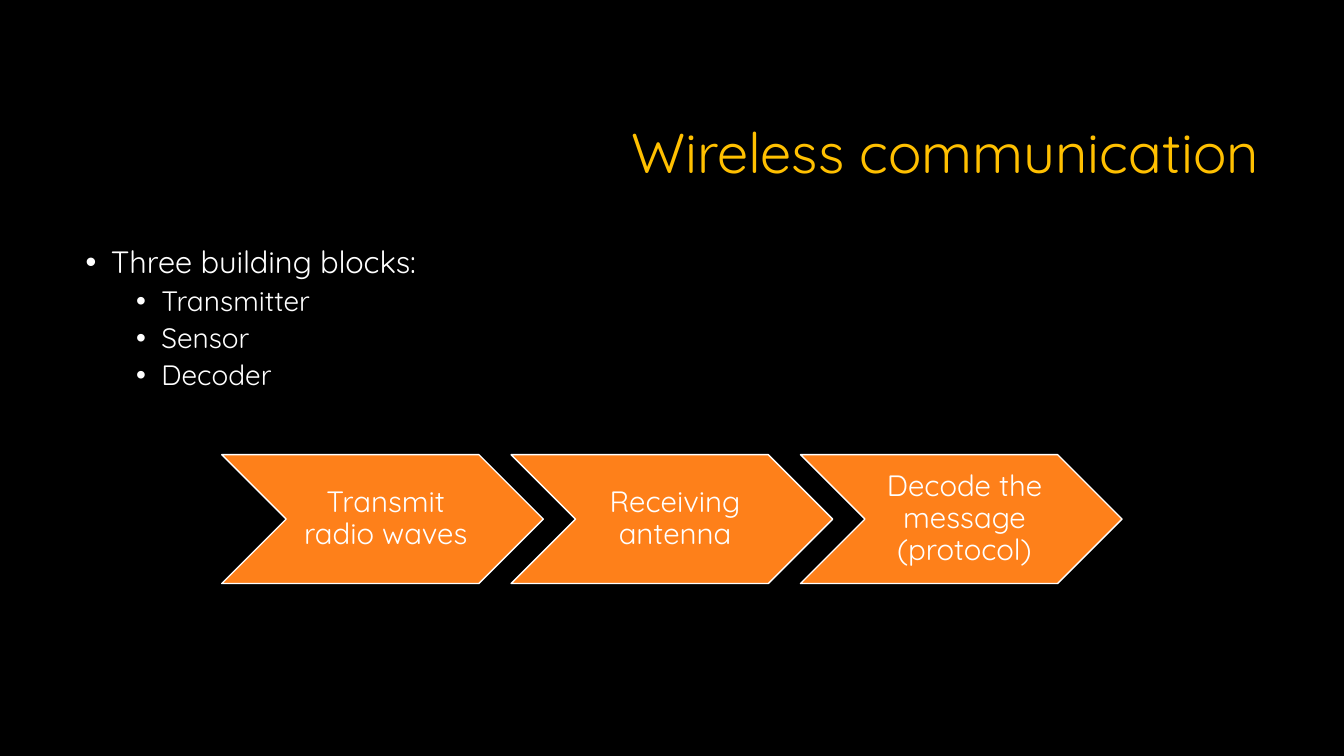
from lxml import etree
from pptx import Presentation
from pptx.dml.color import RGBColor
from pptx.enum.shapes import MSO_SHAPE
from pptx.enum.text import MSO_ANCHOR, MSO_AUTO_SIZE, PP_ALIGN
from pptx.oxml.ns import qn
from pptx.util import Pt

CHEVRON = MSO_SHAPE.CHEVRON
MIDDLE, TOP = MSO_ANCHOR.MIDDLE, MSO_ANCHOR.TOP
NO_FIT = MSO_AUTO_SIZE.NONE
LEFT, CENTER, RIGHT = PP_ALIGN.LEFT, PP_ALIGN.CENTER, PP_ALIGN.RIGHT

BLACK = RGBColor(0x00, 0x00, 0x00)
WHITE = RGBColor(0xFF, 0xFF, 0xFF)
GOLD = RGBColor(0xFF, 0xC0, 0x00)
ORANGE = RGBColor(0xFE, 0x80, 0x1A)
FONT = "Quicksand"

TITLE = "Wireless communication"
BULLETS = [("Three building blocks:", 0), ("Transmitter", 1),
           ("Sensor", 1), ("Decoder", 1)]
STEPS = ["Transmit radio waves", "Receiving antenna",
         "Decode the message (protocol)"]


def write(p, text, size, color=WHITE, align=LEFT, before=0):
    p.alignment = align
    p.line_spacing = 0.9
    p.space_before = Pt(before)
    r = p.add_run()
    r.text = text
    r.font.name = FONT
    r.font.size = Pt(size)
    r.font.color.rgb = color


def set_bullet(p, indent, hanging=18):
    pPr = p._p.get_or_add_pPr()
    pPr.set("marL", str(Pt(indent)))
    pPr.set("indent", str(-Pt(hanging)))
    etree.SubElement(pPr, qn("a:buFont")).set("typeface", "Arial")
    etree.SubElement(pPr, qn("a:buChar")).set("char", "•")


def place(sp, left, top, width, height, anchor):
    sp.left, sp.top = Pt(left), Pt(top)
    sp.width, sp.height = Pt(width), Pt(height)
    tf = sp.text_frame
    tf.word_wrap = True
    tf.auto_size = NO_FIT
    tf.vertical_anchor = anchor
    return tf


def add_bullets(tf, items):
    for i, (text, level) in enumerate(items):
        p = tf.add_paragraph() if i else tf.paragraphs[0]
        p.level = level
        set_bullet(p, 18 + 36 * level)
        write(p, text, 20 if level else 22, before=5 if i else 0)


def add_step(s, text, left, top, width, height):
    sp = s.shapes.add_shape(CHEVRON, Pt(left), Pt(top), Pt(width), Pt(height))
    sp.shadow.inherit = False
    sp.fill.solid()
    sp.fill.fore_color.rgb = ORANGE
    sp.line.color.rgb = WHITE
    sp.line.width = Pt(1)
    tf = sp.text_frame
    tf.word_wrap = True
    tf.vertical_anchor = MIDDLE
    tf.margin_left = Pt(6.5)
    tf.margin_top = tf.margin_right = tf.margin_bottom = Pt(2)
    write(tf.paragraphs[0], text, 21, align=CENTER)


def main():
    prs = Presentation()
    prs.slide_width, prs.slide_height = Pt(960), Pt(540)
    s = prs.slides.add_slide(prs.slide_layouts[1])
    s.background.fill.solid()
    s.background.fill.fore_color.rgb = BLACK

    # Title and list
    tf = place(s.shapes.title, 228.3, 60.5, 678.2, 101.5, MIDDLE)
    write(tf.paragraphs[0], TITLE, 40, color=GOLD, align=RIGHT)
    tf = place(s.placeholders[1], 54, 172.8, 851.8, 316.8, TOP)
    add_bullets(tf, BULLETS)

    # Process chevrons
    for i, step in enumerate(STEPS):
        add_step(s, step, 158.4 + 206.7 * i, 324.8, 229.7, 92)

    prs.save("out.pptx")


if __name__ == "__main__":
    main()
